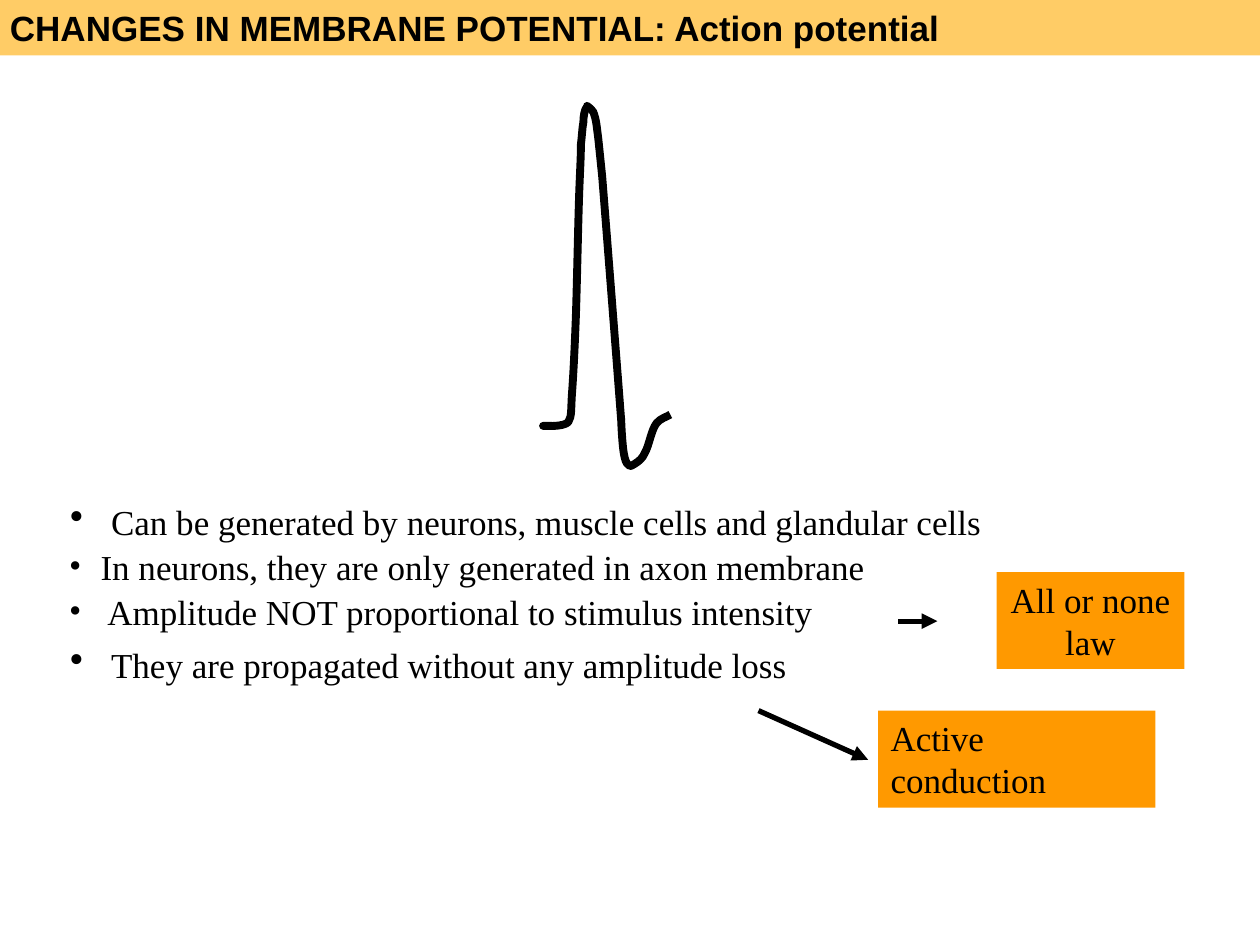
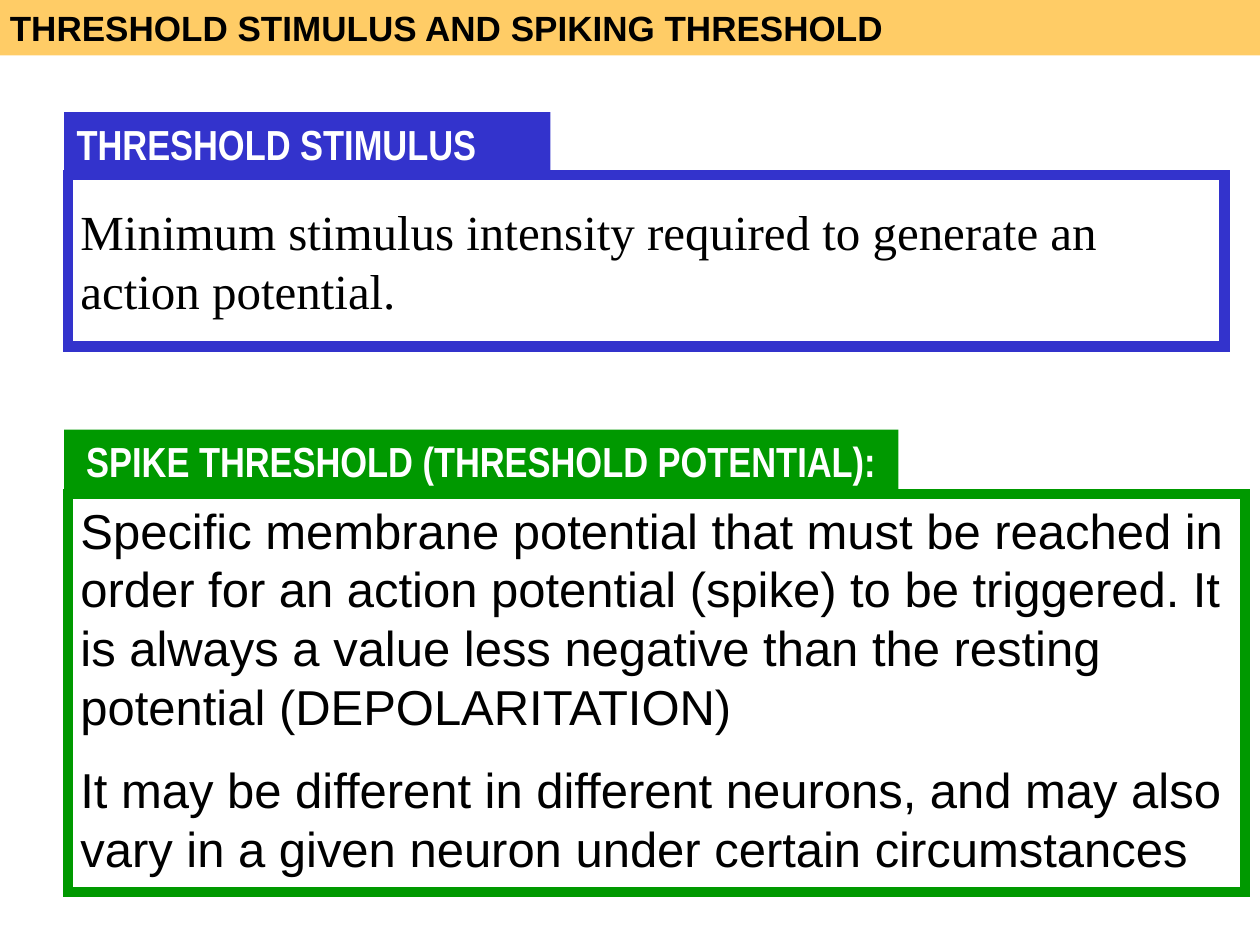
from lxml import etree
from pptx import Presentation
from pptx import util as u
from pptx.dml.color import RGBColor
from pptx.enum import shapes, text
from pptx.oxml.ns import qn

INK = {"black": "000000", "white": "FFFFFF", "band": "FFCC66",
       "note": "FF9900", "blue": "3333CC", "green": "009900"}
SANS, NARROW, SERIF = "Arial", "Arial Narrow", "Times New Roman"

# Each stroke is a start point followed by Bezier triples.
RISE = [(4.38, 3.38), (4.37, 3.38), (4.29, 3.38), (4.31, 3.38),
        (4.33, 3.38), (4.47, 3.39), (4.51, 3.35),
        (4.54, 3.3), (4.53, 3.26), (4.54, 3.12),
        (4.55, 2.98), (4.56, 2.79), (4.57, 2.52),
        (4.58, 2.24), (4.59, 1.68), (4.6, 1.45),
        (4.61, 1.22), (4.61, 1.23), (4.61, 1.15),
        (4.62, 1.07), (4.62, 1.02), (4.63, 0.97),
        (4.63, 0.92), (4.64, 0.88), (4.65, 0.86),
        (4.66, 0.84), (4.67, 0.85), (4.67, 0.85)]
FALL = [(4.66, 0.84), (4.67, 0.85), (4.69, 0.86), (4.71, 0.89),
        (4.72, 0.92), (4.73, 0.94), (4.74, 1.03),
        (4.75, 1.11), (4.74, 1.01), (4.78, 1.4),
        (4.81, 1.78), (4.9, 2.93), (4.93, 3.33)]
DIP = [(4.93, 3.32), (4.93, 3.37), (4.94, 3.53), (4.95, 3.59),
       (4.96, 3.65), (4.97, 3.68), (4.99, 3.69),
       (5, 3.71), (5.02, 3.69), (5.04, 3.68),
       (5.07, 3.66), (5.1, 3.64), (5.12, 3.59),
       (5.15, 3.54), (5.17, 3.41), (5.21, 3.36),
       (5.24, 3.32), (5.29, 3.31), (5.32, 3.29)]


def color(name):
    return RGBColor.from_string(INK[name])


def bend(shape):
    """Turn each three straight segments into one cubic Bezier."""
    lines = list(shape._element.iter(qn("a:lnTo")))
    for i in range(0, len(lines), 3):
        first, *others = lines[i:i + 3]
        first.tag = qn("a:cubicBezTo")
        for other in others:
            first.append(other[0])
            other.getparent().remove(other)


class Deck:
    def __init__(self):
        self.show = Presentation()
        self.show.slide_width = u.Inches(10)
        self.show.slide_height = u.Inches(7.5)
        self.slide = None

    def page(self):
        self.slide = self.show.slides.add_slide(self.show.slide_layouts[6])

    def band(self, title):
        self.box((-0.02, 0, 10.02, 0.44), [title], fill="band", bold=True)

    def run(self, para, words, size, font, ink, bold):
        run = para.add_run()
        run.text = words
        look = {"size": u.Pt(size), "name": font, "bold": bold}
        for key, value in look.items():
            setattr(run.font, key, value)
        run.font.color.rgb = color(ink)

    def box(self, area, paras, fill=None, edge=None, size=20, font=SANS,
            ink="black", bold=False, align="LEFT", anchor="TOP", wrap=True):
        shape = self.slide.shapes.add_shape(
            shapes.MSO_SHAPE.RECTANGLE, *map(u.Inches, area))
        shape.shadow.inherit = False
        if fill:
            shape.fill.solid()
            shape.fill.fore_color.rgb = color(fill)
        else:
            shape.fill.background()
        if edge:
            shape.line.color.rgb = color(edge)
            shape.line.width = u.Pt(6)
            join = etree.SubElement(shape.line._get_or_add_ln(),
                                    qn("a:miter"))
            join.set("lim", "800000")
        else:
            shape.line.fill.background()
        frame = shape.text_frame
        frame.word_wrap = wrap
        frame.vertical_anchor = text.MSO_ANCHOR[anchor]
        for i, words in enumerate(paras):
            para = frame.add_paragraph() if i else frame.paragraphs[0]
            para.alignment = text.PP_ALIGN[align]
            if i:
                para.space_before = u.Pt(size / 2)
            self.run(para, words, size, font, ink, bold)

    def points(self, area, items):
        """Bullets, each given as runs of (size, words)."""
        frame = self.slide.shapes.add_textbox(
            *map(u.Inches, area)).text_frame
        frame.word_wrap = True
        for i, runs in enumerate(items):
            para = frame.add_paragraph() if i else frame.paragraphs[0]
            para.line_spacing = 0.65
            if i:
                para.space_before = u.Pt(runs[0][0] / 2)
            props = para._p.get_or_add_pPr()
            props.set("marL", str(u.Inches(0.5)))
            props.set("indent", str(u.Inches(-0.25)))
            etree.SubElement(props, qn("a:buFont")).set("typeface", SERIF)
            etree.SubElement(props, qn("a:buChar")).set("char", "•")
            for size, words in runs:
                self.run(para, words, size, SERIF, "black", False)

    def arrow(self, *ends):
        line = self.slide.shapes.add_connector(
            shapes.MSO_CONNECTOR.STRAIGHT, *map(u.Inches, ends))
        line.line.color.rgb = color("black")
        line.line.width = u.Pt(3)
        tip = etree.SubElement(line.line._get_or_add_ln(), qn("a:tailEnd"))
        tip.set("type", "triangle")
        etree.SubElement(line._element.spPr, qn("a:effectLst"))

    def curve(self, knots, cap):
        first, *rest = [(u.Inches(x), u.Inches(y)) for x, y in knots]
        pen = self.slide.shapes.build_freeform(*first, scale=1.0)
        pen.add_line_segments(rest, close=False)
        shape = pen.convert_to_shape()
        bend(shape)
        shape.shadow.inherit = False
        shape.fill.background()
        shape.line.color.rgb = color("black")
        shape.line.width = u.Pt(4.5)
        line = shape.line._get_or_add_ln()
        line.set("cap", cap)
        etree.SubElement(line, qn("a:round"))

    def tab(self, top, width, head, hue, wrap=True):
        self.box((0.51, top, width, 0.51), [head], fill=hue, size=24,
                 font=NARROW, ink="white", bold=True, wrap=wrap)


def spike(deck):
    deck.page()
    for stroke, cap in ((RISE, "rnd"), (FALL, "rnd"), (DIP, "flat")):
        deck.curve(stroke, cap)
    deck.points((0.2, 3.99, 9.37, 1.6), [
        [(24, " "), (20, "Can be generated by neurons, muscle cells and "
                         "glandular cells")],
        [(20, "In neurons, they are only generated in axon membrane")],
        [(20, " Amplitude NOT proportional to stimulus intensity")],
        [(24, " "), (20, "They are propagated without any amplitude loss")]])
    deck.box((6.97, 5.64, 2.2, 0.77), ["Active conduction"],
             fill="note", font=SERIF)
    deck.box((7.91, 4.54, 1.49, 0.77), ["All or none law"],
             fill="note", font=SERIF, align="CENTER")
    deck.arrow(7.13, 4.93, 7.44, 4.93)
    deck.arrow(6.02, 5.64, 6.89, 6.03)
    deck.band("CHANGES IN MEMBRANE POTENTIAL: Action potential")


def limits(deck):
    deck.page()
    deck.box((0.54, 1.39, 9.18, 1.36),
             ["Minimum stimulus intensity required to generate an "
              "action potential."],
             edge="blue", size=28, font=SERIF, anchor="MIDDLE")
    deck.box((0.54, 3.92, 9.34, 3.16),
             ["Specific membrane potential that must be reached in order "
              "for an action potential (spike) to be triggered. It is "
              "always a value less negative than the resting potential "
              "(DEPOLARITATION)",
              "It may be different in different neurons, and may also "
              "vary in a given neuron under certain circumstances"],
             edge="green", size=28)
    deck.band("THRESHOLD STIMULUS AND SPIKING THRESHOLD")
    deck.tab(0.89, 3.86, "THRESHOLD STIMULUS", "blue")
    deck.tab(3.41, 6.62, " SPIKE THRESHOLD (THRESHOLD POTENTIAL):",
             "green", wrap=False)


def main():
    deck = Deck()
    spike(deck)
    limits(deck)
    deck.show.save("out.pptx")


if __name__ == "__main__":
    main()
